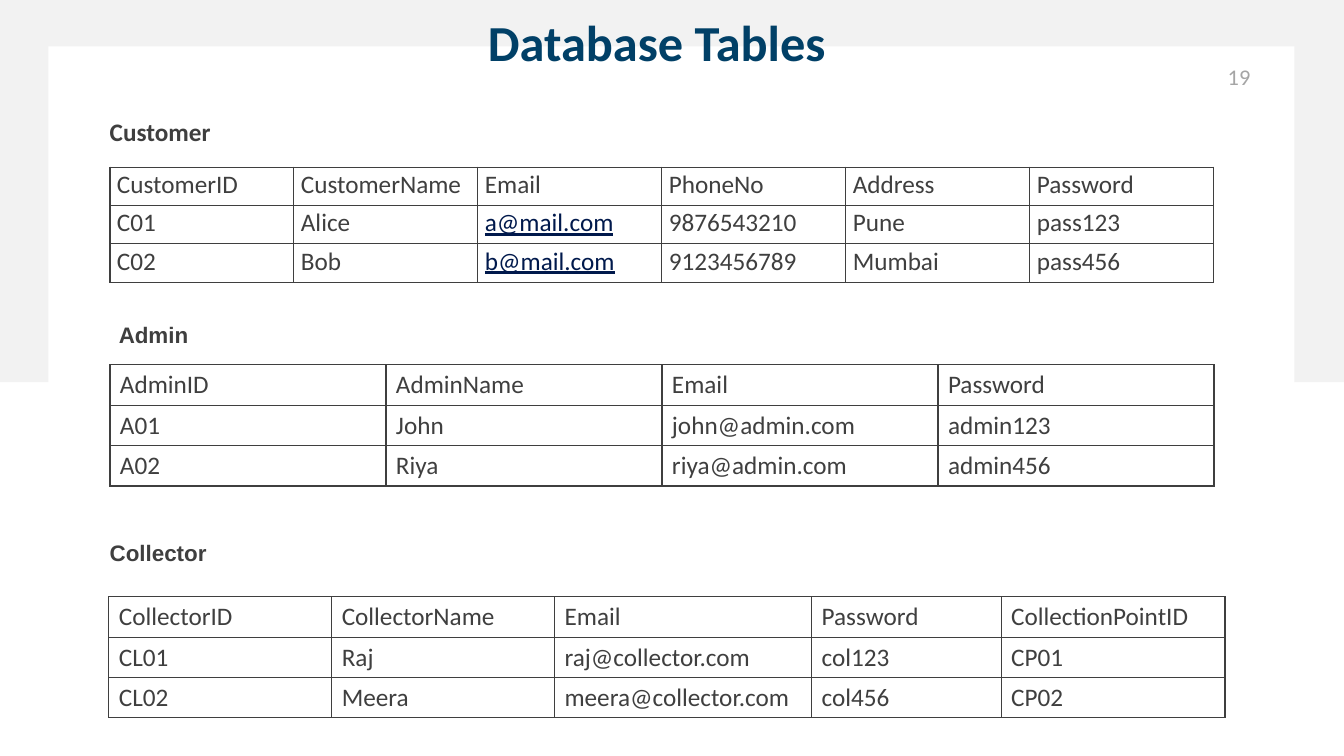
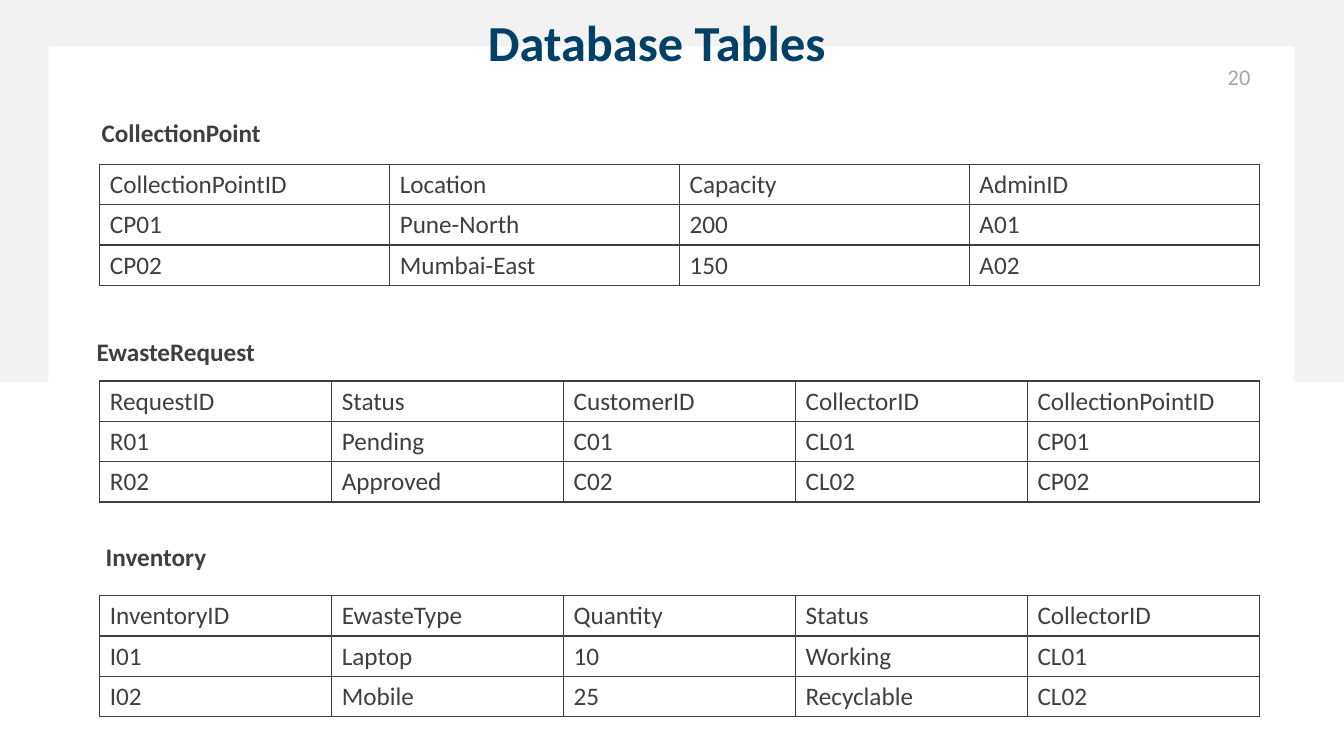
from lxml import etree
from pptx import Presentation
from pptx.dml.color import RGBColor
from pptx.enum import shapes, text
from pptx.oxml import ns
from pptx.util import Emu, Pt

PX = 9144  # 100 px to the inch
GREY = RGBColor(0xF2, 0xF2, 0xF2)
WHITE = RGBColor(0xFF, 0xFF, 0xFF)
NAVY = RGBColor(0x01, 0x40, 0x67)
PALE = RGBColor(0xA5, 0xA5, 0xA5)
INK = RGBColor(0x3F, 0x3F, 0x3F)
LINK = RGBColor(0x00, 0x19, 0x4C)

LEFT, MID, RIGHT = text.PP_ALIGN.LEFT, text.PP_ALIGN.CENTER, text.PP_ALIGN.RIGHT
BANDS = [((0, 0, 1333, 379), GREY), ((48, 46, 1236, 659), WHITE)]

# Caption: words, left, top, font, size. Table: left, top, column widths, row height, rows.
PAGES = [
    ("19", [
        (("Customer", 99, 110, "Calibri", 18), (109, 166, [182.5] * 6, 38, [
            "CustomerID CustomerName Email PhoneNo Address Password",
            "C01 Alice a@mail.com 9876543210 Pune pass123",
            "C02 Bob b@mail.com 9123456789 Mumbai pass456"])),
        (("Admin", 108, 312, "Arial", 16), (109, 362, [273.75] * 4, 40, [
            "AdminID AdminName Email Password",
            "A01 John john@admin.com admin123",
            "A02 Riya riya@admin.com admin456"])),
        (("Collector", 99, 528, "Arial", 16), (108, 592, [221, 221, 255, 188, 222], 40, [
            "CollectorID CollectorName Email Password CollectionPointID",
            "CL01 Raj raj@collector.com col123 CP01",
            "CL02 Meera meera@collector.com col456 CP02"])),
    ]),
    ("20", [
        (("CollectionPoint", 91, 111, "Calibri", 18), (99, 163, [287.5] * 4, 40, [
            "CollectionPointID Location Capacity AdminID",
            "CP01 Pune-North 200 A01",
            "CP02 Mumbai-East 150 A02"])),
        (("EwasteRequest", 86, 329, "Calibri", 18), (99, 378, [230] * 5, 40, [
            "RequestID Status CustomerID CollectorID CollectionPointID",
            "R01 Pending C01 CL01 CP01",
            "R02 Approved C02 CL02 CP02"])),
        (("Inventory", 95, 532, "Calibri", 18), (99, 591, [230] * 5, 40, [
            "InventoryID EwasteType Quantity Status CollectorID",
            "I01 Laptop 10 Working CL01",
            "I02 Mobile 25 Recyclable CL02"])),
    ]),
]


def px(*nums):
    return [Emu(round(n * PX)) for n in nums]


def write(frame, words, size, color, face="Calibri", bold=False, align=LEFT):
    """Put one run in the first paragraph and return both."""
    para = frame.paragraphs[0]
    para.alignment = align
    run = para.add_run()
    run.text = words
    font = run.font
    font.name, font.size, font.bold = face, Pt(size), bold
    font.color.rgb = color
    return para, run


deck = Presentation()
deck.slide_width, deck.slide_height = px(1333, 750)

for page, blocks in PAGES:
    slide = deck.slides.add_slide(deck.slide_layouts[6])
    for box, color in BANDS:
        band = slide.shapes.add_shape(shapes.MSO_SHAPE.RECTANGLE, *px(*box))
        band.shadow.inherit = False
        band.fill.solid()
        band.fill.fore_color.rgb = color
        band.line.fill.background()

    title = slide.shapes.add_textbox(*px(209, -7, 885, 78)).text_frame
    title.word_wrap = True
    title.vertical_anchor = text.MSO_ANCHOR.BOTTOM
    title.margin_top = title.margin_bottom = 0
    write(title, "Database Tables", 36, NAVY, bold=True, align=MID)

    number = slide.shapes.add_textbox(*px(1133, 50, 117, 52)).text_frame
    number.word_wrap = True
    number.vertical_anchor = text.MSO_ANCHOR.MIDDLE
    write(number, page, 16, PALE, align=RIGHT)

    for (name, left, top, face, size), (x, y, cols, high, rows) in blocks:
        label = slide.shapes.add_textbox(*px(left, top, 194, 40)).text_frame
        label.word_wrap = True
        label.vertical_anchor = text.MSO_ANCHOR.MIDDLE
        write(label, name, size, INK, face, bold=True)

        area = px(x, y, sum(cols), high * len(rows))
        grid = slide.shapes.add_table(len(rows), len(cols), *area).table
        grid.first_row = grid.horz_banding = False
        for col, wide in zip(grid.columns, cols):
            col.width = px(wide)[0]
        tight = high < 40
        for row, line in zip(grid.rows, rows):
            row.height = px(high)[0]
            for cell, words in zip(row.cells, line.split()):
                linked = words.endswith("@mail.com")
                para, run = write(cell.text_frame, words, 18, LINK if linked else INK)
                if linked:
                    run.font.underline = True
                if tight:
                    para.line_spacing = 1.07
                    cell.margin_left, cell.margin_right = px(7, 7)
                    cell.margin_top = cell.margin_bottom = 0
                else:
                    cell.vertical_anchor = text.MSO_ANCHOR.MIDDLE
                cell.fill.background()
                props = cell._tc.get_or_add_tcPr()
                for spot, side in enumerate(("lnL", "lnR", "lnT", "lnB")):
                    edge = etree.Element(ns.qn("a:" + side), w=str(Pt(1)))
                    fill = etree.SubElement(edge, ns.qn("a:solidFill"))
                    etree.SubElement(fill, ns.qn("a:srgbClr"), val=str(INK))
                    props.insert(spot, edge)

deck.save("out.pptx")
